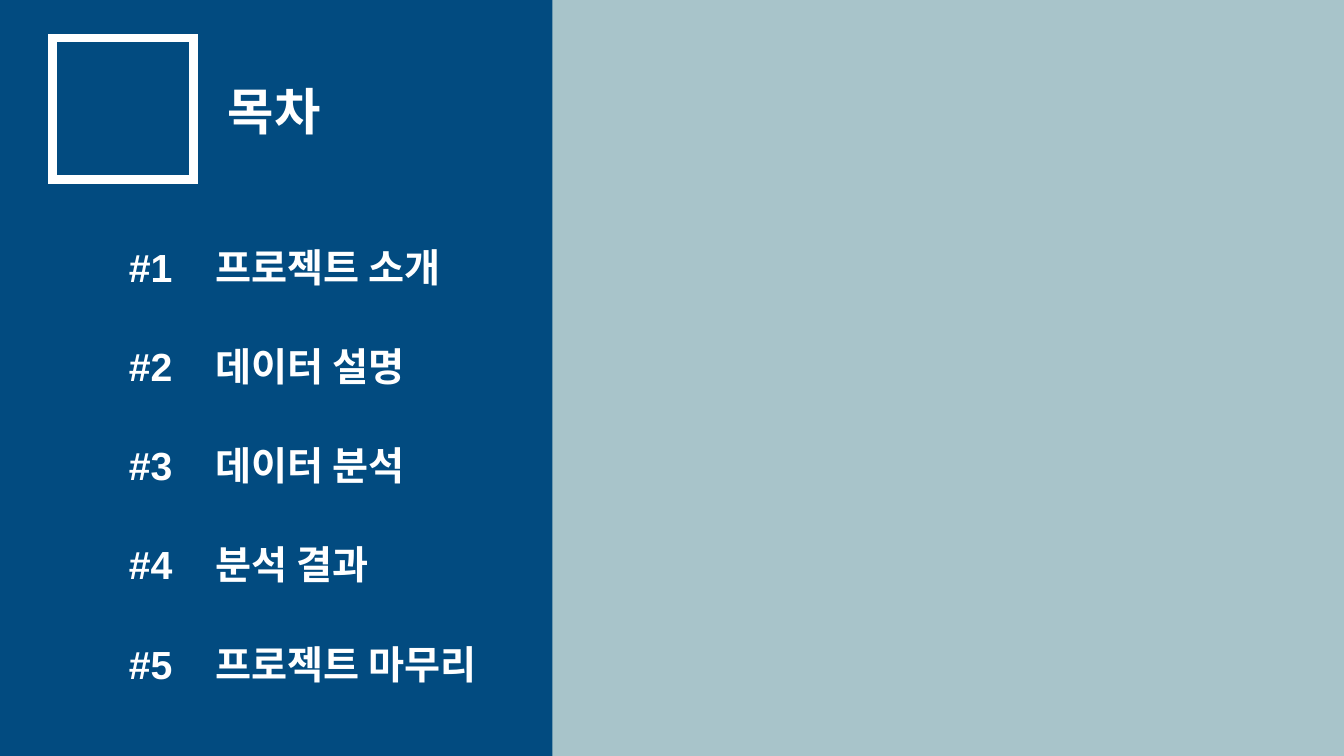
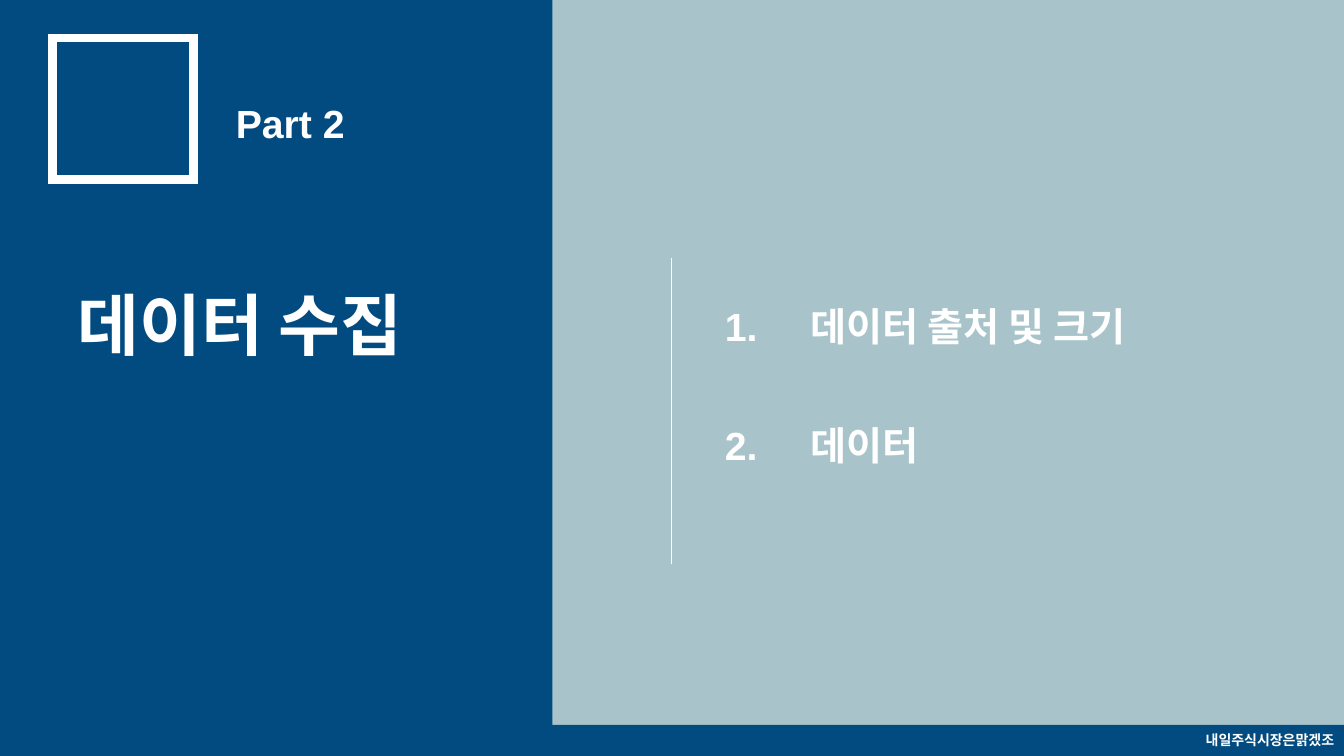
"""Build the contents slide and the Part 2 divider slide."""
from lxml.etree import SubElement
from pptx import Presentation
from pptx.dml.color import RGBColor
from pptx.enum.shapes import MSO_CONNECTOR, MSO_SHAPE
from pptx.enum.text import MSO_ANCHOR as Anchor, MSO_AUTO_SIZE as Fit, PP_ALIGN as Align
from pptx.oxml.ns import qn
from pptx.util import Inches, Pt

NAVY = RGBColor(0x02, 0x4B, 0x80)
SAGE = RGBColor(0xA8, 0xC4, 0xCA)
WHITE = RGBColor(0xFF, 0xFF, 0xFF)
FONT = "Arial"
WIDE, HIGH = 13.33, 7.5


def rect(slide, area, fill=None):
    """Add a plain rectangle without an outline."""
    shape = slide.shapes.add_shape(MSO_SHAPE.RECTANGLE, *map(Inches, area))
    shape.shadow.inherit = False
    shape.line.fill.background()
    if fill is None:
        shape.fill.background()
    else:
        shape.fill.solid()
        shape.fill.fore_color.rgb = fill
    return shape


def write(slide, area, text, size, shape=None, align=Align.LEFT, anchor=Anchor.TOP):
    """Put bold white text in a given shape or a new text box."""
    if shape is None:
        shape = slide.shapes.add_textbox(0, 0, 0, 0)
    shape.left, shape.top, shape.width, shape.height = map(Inches, area)
    frame = shape.text_frame
    frame.text = text
    frame.word_wrap = True
    frame.auto_size = Fit.NONE
    frame.vertical_anchor = anchor
    para = frame.paragraphs[0]
    para.alignment = align
    font = para.runs[0].font
    font.name, font.size, font.bold = FONT, Pt(size), True
    font.color.rgb = WHITE


deck = Presentation()
deck.slide_width, deck.slide_height = Inches(WIDE), Inches(HIGH)

heads = [
    ("목차", (2.16, 0.74, 3.47, 0.71), 36),
    ("데이터 수집", (0.67, 2.76, 4.43, 0.91), 48),
]
slides = []
for text, area, size in heads:
    slide = deck.slides.add_slide(deck.slide_layouts[5])
    rect(slide, (0, 0, WIDE, HIGH), SAGE)
    rect(slide, (0, 0, 5.48, HIGH), NAVY)
    frame = rect(slide, (0.52, 0.38, 1.4, 1.4))
    frame.line.color.rgb = WHITE
    frame.line.width = Pt(6)
    SubElement(frame.element.spPr.find(qn("a:ln")), qn("a:miter"), lim="800000")
    title = slide.shapes.title
    slide.shapes.element.append(title.element)
    write(slide, area, text, size, title)
    slides.append(slide)
index, part = slides

topics = ["프로젝트 소개", "데이터 설명", "데이터 분석", "분석 결과", "프로젝트 마무리"]
first, last = 2.36, 6.3
step = (last - first) / (len(topics) - 1)
for i, topic in enumerate(topics):
    top = first + i * step
    write(index, (1.18, top, 0.86, 0.57), f"#{i + 1}", 28)
    write(index, (2.04, top, 3.13, 0.57), topic, 28)

write(part, (2.24, 0.94, 1.51, 0.57), "Part 2", 28)

rule = part.shapes.add_connector(
    MSO_CONNECTOR.STRAIGHT, Inches(6.66), Inches(2.56), Inches(6.66), Inches(5.6)
)
rule.line.color.rgb = WHITE
rule.line.width = Pt(0.75)
SubElement(rule.element.spPr, qn("a:effectLst"))

for i, topic in enumerate(["데이터 출처 및 크기", "데이터"]):
    top = 2.95 + i * 1.18
    write(part, (7.09, top, 0.64, 0.57), f"{i + 1}.", 28)
    write(part, (7.94, top, 3.76, 0.57), topic, 28)

area = (0, 7.19, WIDE, 0.31)
band = rect(part, area, NAVY)
write(part, area, "내일주식시장은맑겠조", 10, band, Align.RIGHT, Anchor.MIDDLE)

deck.save("out.pptx")
